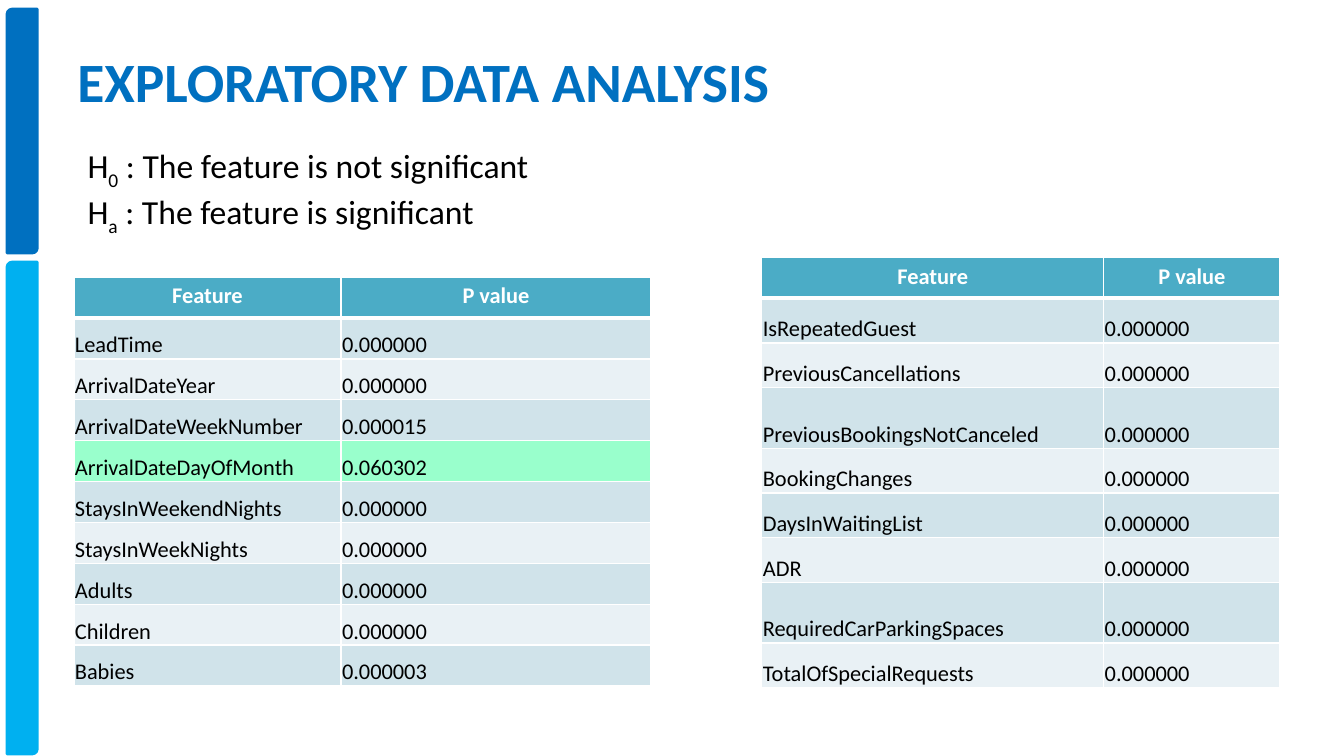
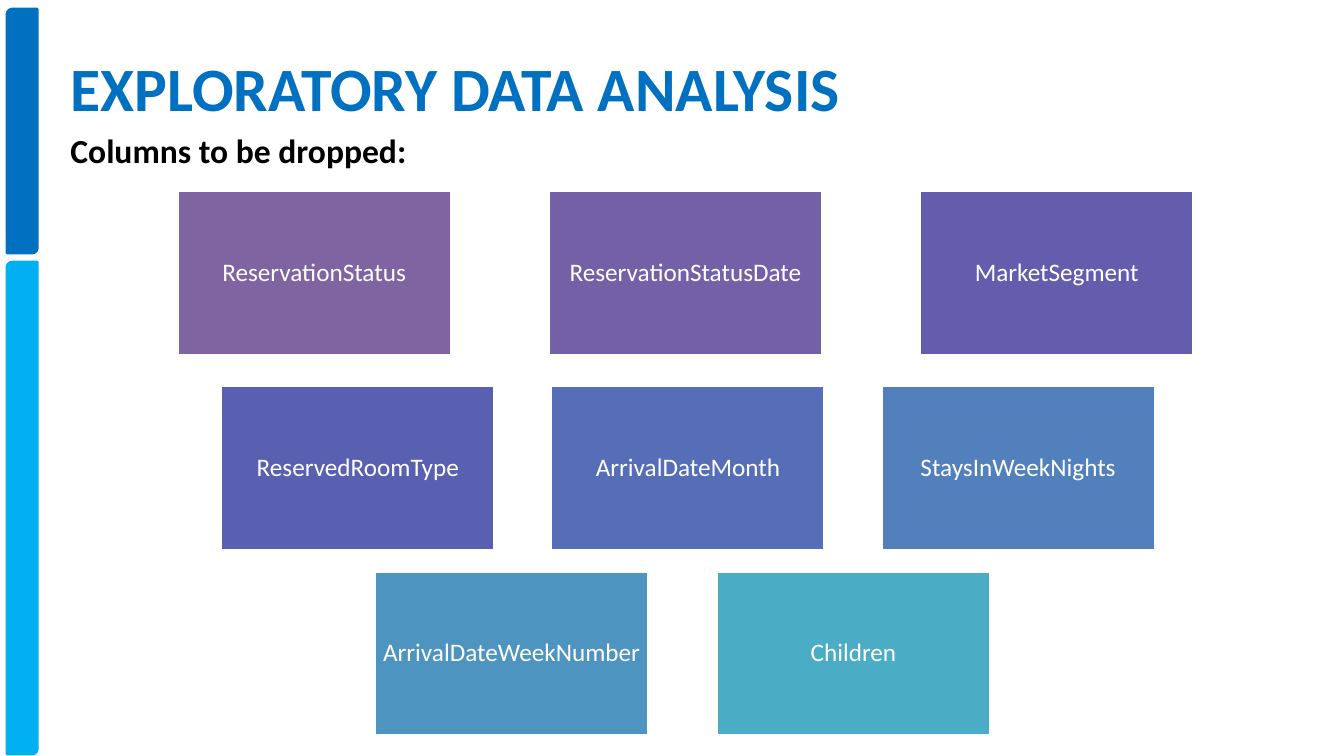
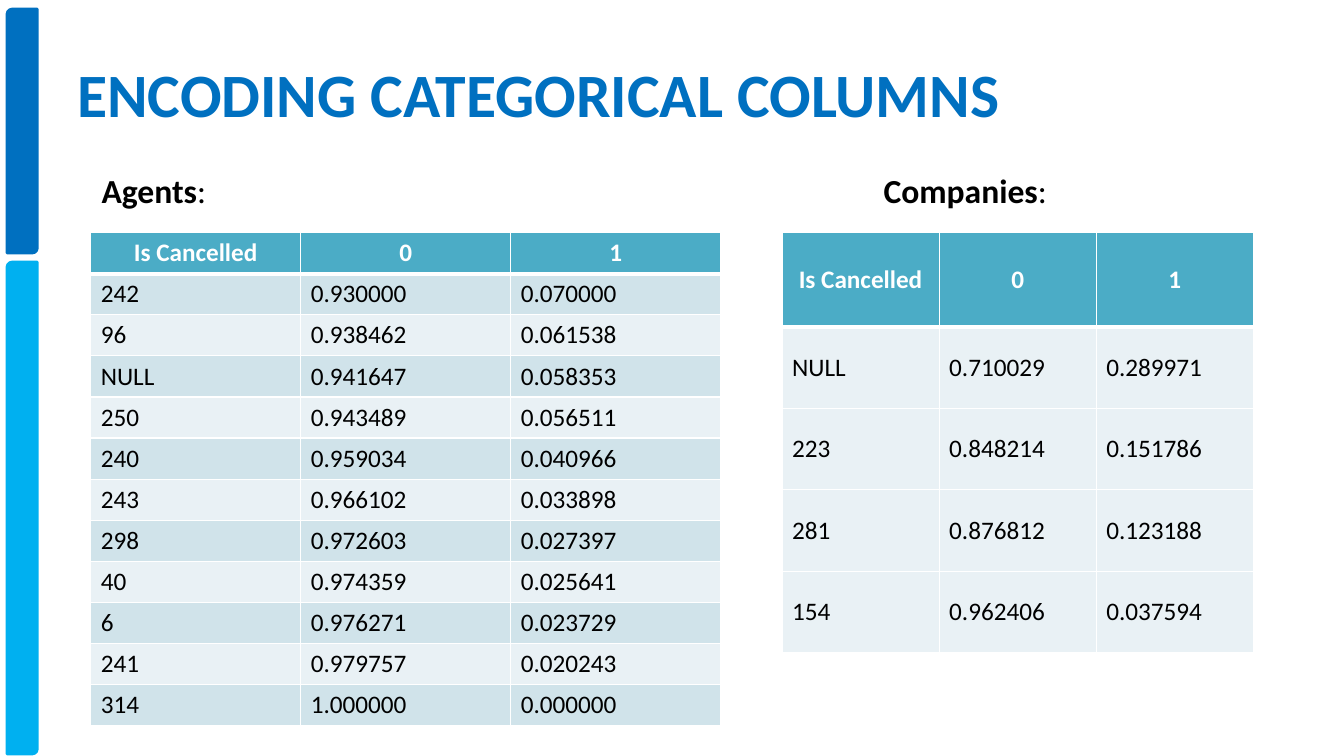
from dataclasses import dataclass

from lxml.etree import SubElement
from pptx import Presentation
from pptx.dml.color import RGBColor
from pptx.enum.shapes import MSO_SHAPE
from pptx.enum.text import MSO_ANCHOR, MSO_AUTO_SIZE, PP_ALIGN
from pptx.oxml.ns import qn
from pptx.util import Emu, Inches, Pt

FONT = "Calibri"
COLORS = {
    "title": "0070C0", "accent": "00B0F0", "text": "000000", "white": "FFFFFF",
    "header": "4BACC6", "band": "D0E3EA", "pale": "E9F1F5", "highlight": "99FFCC",
}
TILE_FILLS = ["8064A2", "7460A7", "645DAD", "5960B2",
              "556EB7", "5280BC", "4E94C1", "4BACC6"]

prs = Presentation()
prs.slide_width, prs.slide_height = Inches(13.33), Inches(7.5)
COLUMNS, ROWS = 160, 90
TITLE_ONLY = prs.slide_layouts[5]


@dataclass(frozen=True)
class Box:
    """A rectangle in grid columns and rows."""
    left: float
    top: float
    width: float
    height: float


@dataclass(frozen=True)
class TableSpec:
    """A table: place, column widths, row heights and text."""
    left: float
    top: float
    widths: list[float]
    heights: list[float]
    rows: list[tuple[str, ...]]
    size: float
    bands: tuple[str, str] = ("band", "pale")
    header_anchor: MSO_ANCHOR = MSO_ANCHOR.MIDDLE
    body_anchor: MSO_ANCHOR = MSO_ANCHOR.MIDDLE
    tight: bool = False
    highlight: str = ""


@dataclass(frozen=True)
class TileRow:
    """A row of equally spaced tiles."""
    left: float
    top: float
    step: float
    names: list[str]


def col(n: float) -> Emu:
    """Width of n grid columns."""
    return Emu(round(prs.slide_width * n / COLUMNS))


def row(n: float) -> Emu:
    """Height of n grid rows."""
    return Emu(round(prs.slide_height * n / ROWS))


def place(box: Box) -> tuple[Emu, Emu, Emu, Emu]:
    """Turn a grid box into slide lengths."""
    return col(box.left), row(box.top), col(box.width), row(box.height)


def rgb(name: str) -> RGBColor:
    """Look up a colour by name, or read a hex string."""
    return RGBColor.from_string(COLORS.get(name, name))


def write(p, text: str, *, size: float, color: str = "text", bold: bool = False,
          align: PP_ALIGN = PP_ALIGN.LEFT, baseline: int = 0) -> None:
    """Add a formatted run to a paragraph; baseline is a percentage."""
    p.alignment = align
    r = p.add_run()
    r.text = text
    r.font.name, r.font.size, r.font.bold = FONT, Pt(size), bold
    r.font.color.rgb = rgb(color)
    if baseline:
        r._r.get_or_add_rPr().set("baseline", str(baseline * 1000))


def add_block(s, kind: MSO_SHAPE, box: Box, fill: str, line: str):
    """Add a filled, outlined shape without shadow."""
    sp = s.shapes.add_shape(kind, *place(box))
    sp.shadow.inherit = False
    sp.fill.solid()
    sp.fill.fore_color.rgb = rgb(fill)
    sp.line.color.rgb = rgb(line)
    sp.line.width = Pt(2)
    return sp


def add_label(s, box: Box, wrap: bool = True):
    """Add an empty text box and return its text frame."""
    tf = s.shapes.add_textbox(*place(box)).text_frame
    tf.word_wrap = wrap
    return tf


def add_slide(title: str, box: Box, size: float = 44):
    """Add a title-only slide with its title placed and formatted."""
    s = prs.slides.add_slide(TITLE_ONLY)
    sp = s.shapes.title
    sp.left, sp.top, sp.width, sp.height = place(box)
    tf = sp.text_frame
    tf.auto_size = MSO_AUTO_SIZE.NONE
    tf.vertical_anchor = MSO_ANCHOR.MIDDLE
    write(tf.paragraphs[0], title, size=size, color="title", bold=True)
    return s


def add_side_bands(s) -> None:
    """Draw the side bands and move them to the shared layout."""
    for i, (top, height, color) in enumerate([(1.08, 29.04, "title"), (31.2, 58.56, "accent")]):
        sp = add_block(s, MSO_SHAPE.ROUND_2_DIAG_RECTANGLE,
                       Box(0.84, top, 3.6, height), color, color)
        TITLE_ONLY.shapes.element.insert(2 + i, sp.element)


def set_borders(cell, top: float, bottom: float) -> None:
    """Give a cell white borders, in points; the sides are 1 point."""
    tc_pr = cell._tc.get_or_add_tcPr()
    for tag, width in {"a:lnL": 1, "a:lnR": 1, "a:lnT": top, "a:lnB": bottom}.items():
        ln = SubElement(tc_pr, qn(tag), w=str(Pt(width)))
        SubElement(SubElement(ln, qn("a:solidFill")), qn("a:srgbClr"), val=COLORS["white"])


def add_grid(s, spec: TableSpec) -> None:
    """Add a table with a header row and banded body."""
    box = Box(spec.left, spec.top, sum(spec.widths), sum(spec.heights))
    table = s.shapes.add_table(len(spec.rows), len(spec.widths), *place(box)).table
    for column, width in zip(table.columns, spec.widths):
        column.width = col(width)
    for i, (values, height) in enumerate(zip(spec.rows, spec.heights)):
        table.rows[i].height = row(height)
        header = i == 0
        fill = "header" if header else spec.bands[(i - 1) % 2]
        if values[0] == spec.highlight:
            fill = "highlight"
        for j, value in enumerate(values):
            cell = table.cell(i, j)
            set_borders(cell, top=3 if i == 1 else 1, bottom=3 if header else 1)
            cell.fill.solid()
            cell.fill.fore_color.rgb = rgb(fill)
            cell.vertical_anchor = spec.header_anchor if header else spec.body_anchor
            if spec.tight and not header:
                cell.margin_left = cell.margin_right = cell.margin_top = Inches(0.01)
                cell.margin_bottom = 0
            write(cell.text_frame.paragraphs[0], value, size=spec.size, bold=header,
                  color="white" if header else "text",
                  align=PP_ALIGN.CENTER if header else PP_ALIGN.LEFT)


def add_feature_table(s, left: float, top: float, widths: list[float],
                      heights: list[float], rows: list[tuple[str, ...]]) -> None:
    """Add a table of features and their P values."""
    add_grid(s, TableSpec(left, top, widths, heights, [("Feature", "P value"), *rows], 16,
                          header_anchor=MSO_ANCHOR.TOP, body_anchor=MSO_ANCHOR.BOTTOM,
                          tight=True, highlight="ArrivalDateDayOfMonth"))


def add_tiles(s, tile_rows: list[TileRow]) -> None:
    """Add the rows of tiles, coloured in order."""
    fills = iter(TILE_FILLS)
    for tiles in tile_rows:
        for i, name in enumerate(tiles.names):
            box = Box(tiles.left + i * tiles.step, tiles.top, 32.6, 19.6)
            sp = add_block(s, MSO_SHAPE.RECTANGLE, box, next(fills), "white")
            tf = sp.text_frame
            tf.word_wrap = True
            tf.vertical_anchor = MSO_ANCHOR.MIDDLE
            tf.margin_left = tf.margin_right = tf.margin_top = tf.margin_bottom = Inches(0.07)
            p = tf.paragraphs[0]
            p.line_spacing = 0.9
            write(p, name, size=18, color="white", align=PP_ALIGN.CENTER)


def build_significance() -> None:
    """Build the slide of hypotheses and P values."""
    s = add_slide("EXPLORATORY DATA ANALYSIS", Box(8, 4.6, 144, 10), 39.6)
    add_side_bands(s)
    tf = add_label(s, Box(9.24, 16.7, 134.4, 10.9))
    hypotheses = [("0", " : The feature is not significant"), ("a", " : The feature is significant")]
    for i, (index, meaning) in enumerate(hypotheses):
        p = tf.add_paragraph() if i else tf.paragraphs[0]
        write(p, "H", size=24)
        write(p, index, size=24, baseline=-25)
        write(p, meaning, size=24)
    add_feature_table(s, 8.8, 33, [31.8, 36.9], [4.87] * 10, [
        ("LeadTime", "0.000000"),
        ("ArrivalDateYear", "0.000000"),
        ("ArrivalDateWeekNumber", "0.000015"),
        ("ArrivalDateDayOfMonth", "0.060302"),
        ("StaysInWeekendNights", "0.000000"),
        ("StaysInWeekNights", "0.000000"),
        ("Adults", "0.000000"),
        ("Children", "0.000000"),
        ("Babies", "0.000003"),
    ])
    names = ["IsRepeatedGuest", "PreviousCancellations", "PreviousBookingsNotCanceled",
             "BookingChanges", "DaysInWaitingList", "ADR", "RequiredCarParkingSpaces",
             "TotalOfSpecialRequests"]
    heights = [4.8] + [7.2 if len(name) > 22 else 5.33 for name in names]
    add_feature_table(s, 90.7, 30.7, [40.7, 21], heights,
                      [(name, "0.000000") for name in names])


def build_dropped_columns() -> None:
    """Build the slide of columns to be dropped."""
    s = add_slide("EXPLORATORY DATA ANALYSIS", Box(7.2, 2.9, 118.2, 15))
    tf = add_label(s, Box(7.2, 14.9, 42.8, 6), wrap=False)
    write(tf.paragraphs[0], "Columns to be dropped:", size=24, bold=True)
    add_tiles(s, [
        TileRow(21.1, 22.7, 44.2, ["ReservationStatus", "ReservationStatusDate", "MarketSegment"]),
        TileRow(26.3, 45.9, 39.3, ["ReservedRoomType", "ArrivalDateMonth", "StaysInWeekNights"]),
        TileRow(44.6, 68, 40.7, ["ArrivalDateWeekNumber", "Children"]),
    ])


def build_encoding() -> None:
    """Build the slide of cancellation shares by agent and company."""
    s = add_slide("ENCODING CATEGORICAL COLUMNS", Box(8, 3.5, 144, 15))
    header = ("Is Cancelled", "0", "1")
    add_grid(s, TableSpec(93.1, 27.7, [18.7] * 3, [11.2] + [9.7] * 4, [
        header,
        ("NULL", "0.710029", "0.289971"),
        ("223", "0.848214", "0.151786"),
        ("281", "0.876812", "0.123188"),
        ("154", "0.962406", "0.037594"),
    ], 18, bands=("pale", "pale")))
    add_grid(s, TableSpec(10.8, 27.7, [25] * 3, [4.89] * 12, [
        header,
        ("242", "0.930000", "0.070000"),
        ("96", "0.938462", "0.061538"),
        ("NULL", "0.941647", "0.058353"),
        ("250", "0.943489", "0.056511"),
        ("240", "0.959034", "0.040966"),
        ("243", "0.966102", "0.033898"),
        ("298", "0.972603", "0.027397"),
        ("40", "0.974359", "0.025641"),
        ("6", "0.976271", "0.023729"),
        ("241", "0.979757", "0.020243"),
        ("314", "1.000000", "0.000000"),
    ], 18))
    for left, name in [(104, "Companies"), (10.9, "Agents")]:
        p = add_label(s, Box(left, 19.6, 44, 6)).paragraphs[0]
        write(p, name, size=24, bold=True)
        write(p, ":", size=24)


build_significance()
build_dropped_columns()
build_encoding()
prs.save("out.pptx")
